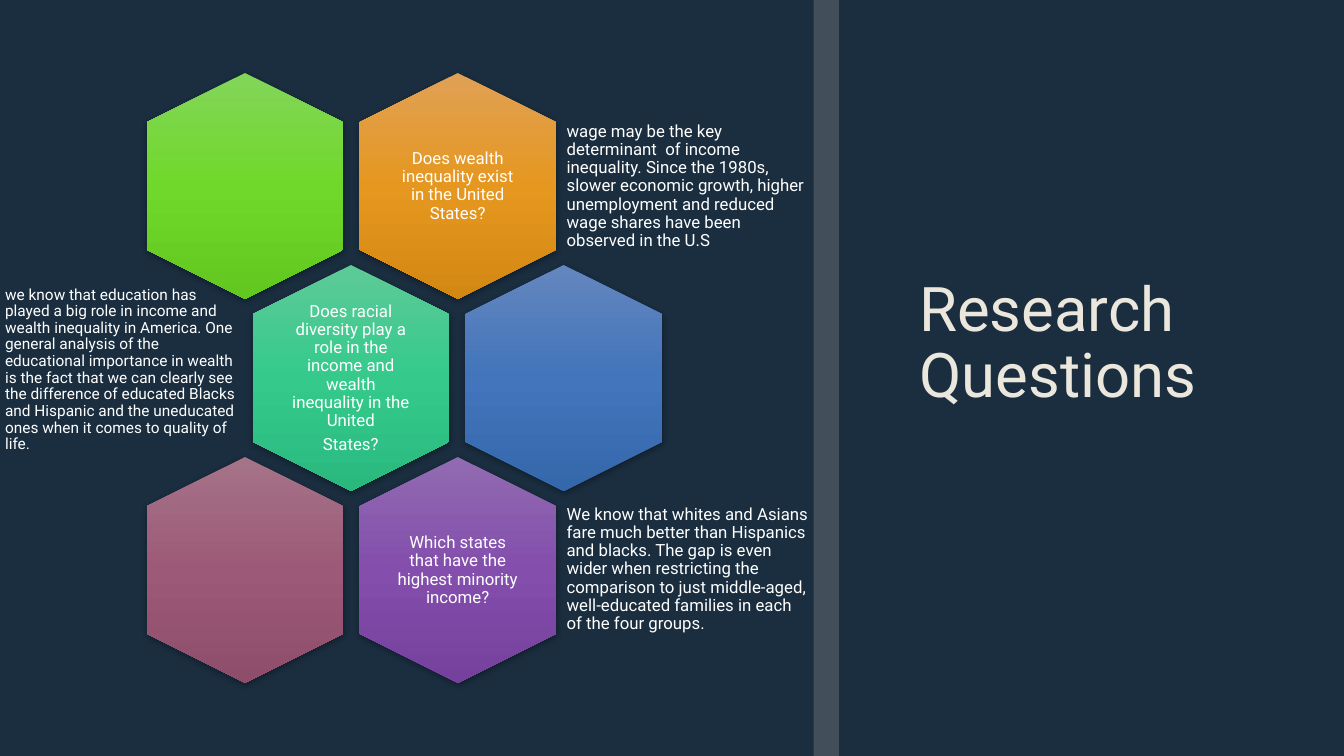
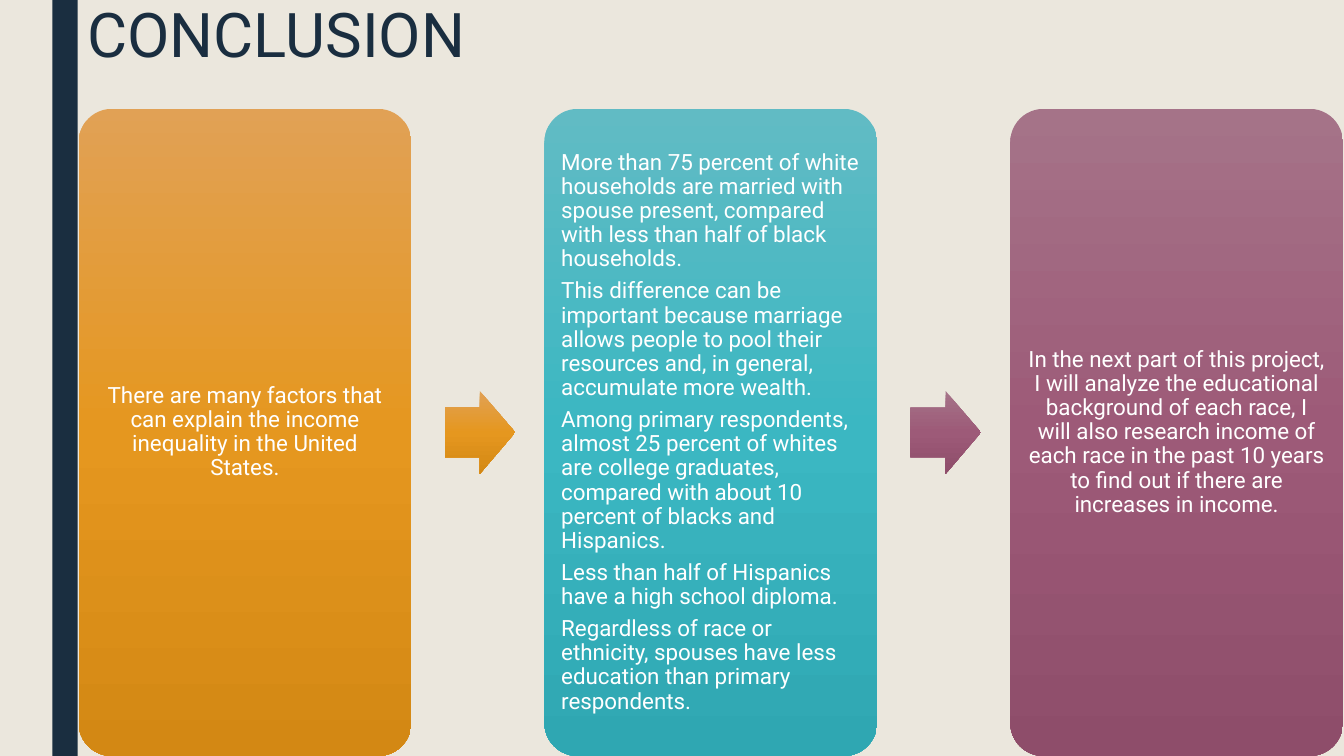
from lxml import etree
from pptx import Presentation
from pptx.dml.color import RGBColor
from pptx.enum.shapes import MSO_SHAPE
from pptx.enum.text import MSO_ANCHOR, PP_ALIGN
from pptx.oxml import parse_xml
from pptx.oxml.ns import nsdecls, qn
from pptx.util import Inches, Pt

RECTANGLE, ROUNDED = MSO_SHAPE.RECTANGLE, MSO_SHAPE.ROUNDED_RECTANGLE
HEXAGON, ARROW = MSO_SHAPE.HEXAGON, MSO_SHAPE.RIGHT_ARROW
LEFT, CENTER = PP_ALIGN.LEFT, PP_ALIGN.CENTER
TOP, MIDDLE = MSO_ANCHOR.TOP, MSO_ANCHOR.MIDDLE

FONT = "Roboto"
NAVY, CREAM, WHITE, GRAY = "1A2E40", "EBE7DD", "FFFFFF", "808080"
BAND_WIDTH = 0.25

# Top, middle and bottom colour of each gradient
ORANGE = ("E1A155", "E5971F", "D38814")
LIME = ("83D659", "70D82A", "62C71E")
GREEN = ("5ECA98", "35CA8C", "29B97E")
BLUE = ("6486BE", "4275BB", "3567AB")
PURPLE = ("916BB1", "834EAC", "75419C")
MAUVE = ("A57388", "9D5A78", "8E4D6A")
TEAL = ("61BBC4", "3BB7C2", "2FA7B2")

HEX_WIDTH, HEX_HEIGHT = 2.24, 1.95
# Row, column, gradient, question paragraphs
HEXAGONS = [
    (0, 0, LIME, []),
    (0, 1, ORANGE, ["Does wealth inequality exist in the United States?"]),
    (1, 0, GREEN, ["Does racial diversity play a role in the income and wealth "
                   "inequality in the United", "States?"]),
    (1, 1, BLUE, []),
    (2, 0, MAUVE, []),
    (2, 1, PURPLE, ["Which states that have the highest minority income?"]),
]

# Box, text size, text
NOTES = [
    ((5.57, 1.18, 2.5, 1.34), 12,
     "wage may be the key determinant  of income inequality. Since the 1980s, "
     "slower economic growth, higher unemployment and reduced wage shares have "
     "been observed in the U.S"),
    ((0, 3, 2.42, 1.34), 11,
     "we know that education has played a big role in income and wealth "
     "inequality in America. One general analysis of the educational importance "
     "in wealth is the fact that we can clearly see the difference of educated "
     "Blacks and Hispanic and the uneducated ones when it comes to quality of "
     "life."),
    ((5.57, 4.98, 2.5, 1.34), 12,
     "We know that whites and Asians fare much better than Hispanics and blacks. "
     "The gap is even wider when restricting the comparison to just middle-aged, "
     "well-educated families in each of the four groups."),
]

# Gradient, alignment, paragraphs
CARDS = [
    (ORANGE, CENTER, ["There are many factors that can explain the income "
                      "inequality in the United States."]),
    (TEAL, LEFT, [
        "More than 75 percent of white households are married with spouse "
        "present, compared with less than half of black households.",
        "This difference can be important because marriage allows people to pool "
        "their resources and, in general, accumulate more wealth.",
        "Among primary respondents, almost 25 percent of whites are college "
        "graduates, compared with about 10 percent of blacks and Hispanics.",
        "Less than half of Hispanics have a high school diploma.",
        "Regardless of race or ethnicity, spouses have less education than "
        "primary respondents.",
    ]),
    (MAUVE, CENTER, ["In the next part of this project, I will analyze the "
                     "educational background of each race, I will also research "
                     "income of each race in the past 10 years to find out if "
                     "there are increases in income."]),
]
ARROW_COLORS = [ORANGE, MAUVE]


def color(value):
    """Turn a hex string into a colour."""
    return RGBColor.from_string(value)


def fill_gradient(shape, colors):
    """Fill a shape from top to bottom, whatever its rotation."""
    shape.fill.background()
    stops = "".join(
        f'<a:gs pos="{index * 50000}"><a:srgbClr val="{value}"/></a:gs>'
        for index, value in enumerate(colors))
    gradient = parse_xml(
        f'<a:gradFill {nsdecls("a")} rotWithShape="0"><a:gsLst>{stops}</a:gsLst>'
        '<a:lin ang="5400000" scaled="0"/></a:gradFill>')
    properties = shape.element.spPr
    properties.replace(properties.find(qn("a:noFill")), gradient)


def add_soft_shadow(shape):
    """Give a shape a faint shadow that falls straight down."""
    effects = shape.element.spPr.find(qn("a:effectLst"))
    effects.append(parse_xml(
        f'<a:outerShdw {nsdecls("a")} blurRad="{Pt(4.5)}" dist="{Pt(1.5)}" '
        'dir="5400000" rotWithShape="0"><a:srgbClr val="000000">'
        '<a:alpha val="35000"/></a:srgbClr></a:outerShdw>'))


def add_figure(page, kind, box, fill):
    """Add a borderless shape with a plain or a gradient fill."""
    shape = page.shapes.add_shape(kind, *map(Inches, box))
    shape.shadow.inherit = False
    shape.line.fill.background()
    if isinstance(fill, str):
        shape.fill.solid()
        shape.fill.fore_color.rgb = color(fill)
    else:
        fill_gradient(shape, fill)
    return shape


def write(shape, paragraphs, size=12, ink=WHITE, align=LEFT, anchor=MIDDLE,
          insets=(0.05, 0.05), spacing=0.9):
    """Write formatted paragraphs into a shape or text box."""
    frame = shape.text_frame
    frame.word_wrap = True
    frame.vertical_anchor = anchor
    frame.margin_left = frame.margin_right = Inches(insets[0])
    frame.margin_top = frame.margin_bottom = Inches(insets[1])
    for index, text in enumerate(paragraphs):
        para = frame.add_paragraph() if index else frame.paragraphs[0]
        para.alignment = align
        para.line_spacing = spacing
        para.space_after = Pt(round(size * 0.35, 1))
        span = para.add_run()
        span.text = text
        span.font.name = FONT
        span.font.size = Pt(size)
        span.font.color.rgb = color(ink)


def add_text(page, box, paragraphs, **style):
    """Add a text box."""
    write(page.shapes.add_textbox(*map(Inches, box)), paragraphs, **style)


def add_title(page, box, text, ink, anchor):
    """Add a slide title."""
    add_text(page, box, [text], size=44, ink=ink, anchor=anchor,
             insets=(0.1, 0.05), spacing=0.89)


def add_page(deck, background):
    """Add a blank slide with a plain background."""
    page = deck.slides.add_slide(deck.slide_layouts[6])
    page.background.fill.solid()
    page.background.fill.fore_color.rgb = color(background)
    return page


def add_band(page, left, fill):
    """Add the vertical band that runs down the whole slide."""
    return add_figure(page, RECTANGLE, (left, 0, BAND_WIDTH, 7.5), fill)


def add_honeycomb(page, left, top):
    """Place the hexagons in rows, every second row shifted half a step."""
    for row, column, colors, question in HEXAGONS:
        x = left + 2.11 * column + 1.05 * (row % 2)
        y = top + 1.905 * row
        cell = add_figure(page, HEXAGON, (x, y, HEX_WIDTH, HEX_HEIGHT), colors)
        cell.rotation = 90
        add_soft_shadow(cell)
        if question:
            add_text(page, (x + 0.45, y + 0.21, 1.34, 1.54), question,
                     align=CENTER)


def add_process(page, left, top, width, height):
    """Place the cards in a row with an arrow in each gap."""
    card_width, step = 3.3, 4.62
    arrow_width, arrow_height = 0.7, 0.82
    gap = width - card_width - 2 * step
    for index, (colors, align, paragraphs) in enumerate(CARDS):
        x = left + gap + step * index
        card = add_figure(page, ROUNDED, (x, top, card_width, height), colors)
        card.adjustments[0] = 0.1
        write(card, paragraphs, size=16, align=align, insets=(0.07, 0.07))
    for index, colors in enumerate(ARROW_COLORS):
        x = left + gap + step * index + card_width + 0.33
        y = top + (height - arrow_height) / 2
        arrow = add_figure(page, ARROW, (x, y, arrow_width, arrow_height), colors)
        arrow.adjustments[0] = 0.6


def build_questions(deck):
    """Build the slide of research questions."""
    page = add_page(deck, NAVY)
    add_title(page, (9.02, 0.7, 3.61, 5.44), "Research Questions", CREAM, MIDDLE)
    band = add_band(page, 8.07, GRAY)
    tint = band.element.spPr.find(qn("a:solidFill"))[0]
    etree.SubElement(tint, qn("a:alpha"), val="40000")
    add_honeycomb(page, 1.31, 0.87)
    for box, size, text in NOTES:
        add_text(page, box, [text], size=size)


def build_conclusion(deck):
    """Build the concluding slide."""
    page = add_page(deck, CREAM)
    add_title(page, (0.77, 0, 12.56, 1.08), "CONCLUSION", NAVY, TOP)
    add_band(page, 0.52, NAVY)
    add_process(page, 0.78, 1.08, 12.54, 6.42)


def main():
    """Build and save the deck."""
    deck = Presentation()
    deck.slide_width, deck.slide_height = Inches(13.33), Inches(7.5)
    build_questions(deck)
    build_conclusion(deck)
    deck.save("out.pptx")


main()
